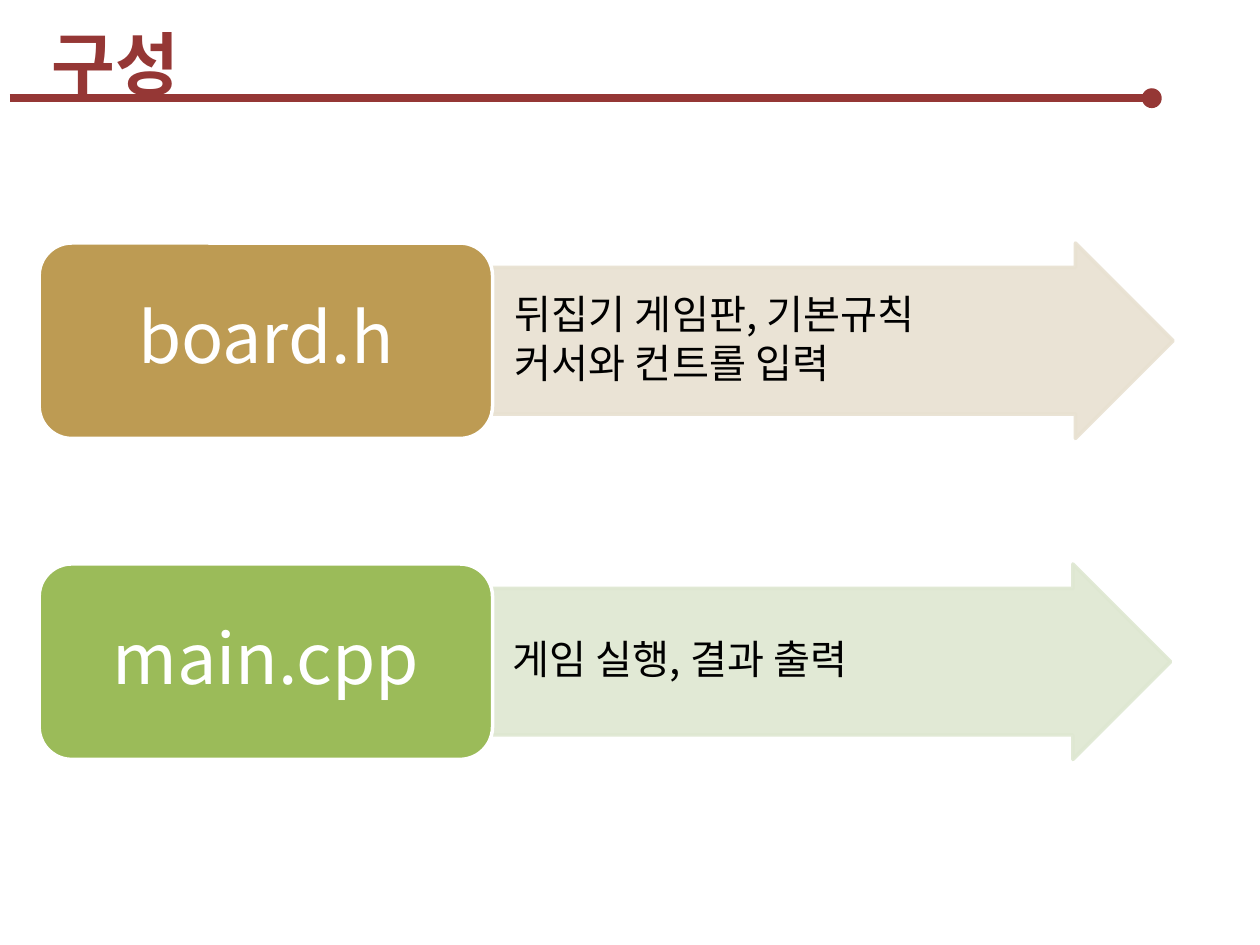
import pptx
import pptx.util
import pptx.dml.color
import pptx.enum.shapes
import pptx.enum.text
import pptx.oxml
import pptx.oxml.ns

Cm, Pt = pptx.util.Cm, pptx.util.Pt
FONT = "Noto Sans CJK KR"
COLORS = {"title": "953735", "gold": "BD9B53", "sand": "E8E1D1",
          "green": "9BBB59", "mint": "DEE7D1", "white": "FFFFFF", "black": "000000"}
SHAPE = pptx.enum.shapes.MSO_SHAPE
ALIGN = pptx.enum.text.PP_ALIGN
NS = pptx.oxml.ns.nsdecls("a")
qn = pptx.oxml.ns.qn


def rgb(name):
    return pptx.dml.color.RGBColor.from_string(COLORS[name])


def write(tf, lines, size, color, align, bold=False, spacing=1.0, after=0,
          margins=(0.25, 0.25)):
    """Fill a text frame, one paragraph per line, centred vertically."""
    tf.word_wrap = True
    tf.vertical_anchor = pptx.enum.text.MSO_ANCHOR.MIDDLE
    tf.margin_left, tf.margin_right = Cm(margins[0]), Cm(margins[1])
    tf.margin_top = tf.margin_bottom = Cm(0.05)
    for i, line in enumerate(lines):
        p = tf.paragraphs[0] if i == 0 else tf.add_paragraph()
        p.text = line
        p.alignment = align
        p.line_spacing = spacing
        p.space_after = Pt(after)
        f = p.font
        f.name, f.size, f.bold = FONT, Pt(size), bold
        f.color.rgb = rgb(color)
        # East Asian typeface for the Korean text
        latin = p._p.pPr.find(qn("a:defRPr")).find(qn("a:latin"))
        latin.addnext(pptx.oxml.parse_xml(f'<a:ea {NS} typeface="{FONT}"/>'))


def add_block(s, kind, x, y, w, h, fill, line=None):
    sp = s.shapes.add_shape(kind, Cm(x), Cm(y), Cm(w), Cm(h))
    sp.shadow.inherit = False
    sp.fill.solid()
    sp.fill.fore_color.rgb = rgb(fill)
    if line:
        sp.line.color.rgb = rgb(line)
        sp.line.width = Pt(2)
    else:
        sp.line.fill.background()
    return sp


def set_opacity(sp, percent):
    for clr in sp._element.spPr.iter(qn("a:srgbClr")):
        clr.append(pptx.oxml.parse_xml(f'<a:alpha {NS} val="{percent * 1000}"/>'))


def add_title(s, text):
    tb = s.shapes.add_textbox(Cm(0.79), Cm(0.36), Cm(19.18), Cm(1.83))
    write(tb.text_frame, [text], 39.6, "title", ALIGN.LEFT, bold=True)

    # Rule with a round end
    cx = s.shapes.add_connector(pptx.enum.shapes.MSO_CONNECTOR.STRAIGHT,
                                Cm(0.2), Cm(1.98), Cm(23.22), Cm(1.98))
    cx.line.color.rgb = rgb("title")
    cx.line.width = Pt(4.5)
    cx._element.spPr.append(pptx.oxml.parse_xml(f'<a:effectLst {NS}/>'))
    add_block(s, SHAPE.OVAL, 23.02, 1.78, 0.4, 0.4, "title")


def add_file_row(s, y, name, lines, box_color, arrow_x, arrow_color):
    """File name in a rounded box, its contents in an arrow."""
    arrow = add_block(s, SHAPE.RIGHT_ARROW, arrow_x, y, 13.72, 3.94,
                      arrow_color, arrow_color)
    arrow.adjustments[0], arrow.adjustments[1] = 0.75, 0.5
    set_opacity(arrow, 90)
    write(arrow.text_frame, lines, 23, "black", ALIGN.LEFT, spacing=0.9,
          after=3.45, margins=(0.45, 0.05))

    box = add_block(s, SHAPE.ROUNDED_RECTANGLE, 0.79, y, 9.14, 3.94,
                    box_color, "white")
    write(box.text_frame, [name], 40, "white", ALIGN.CENTER, spacing=0.9,
          margins=(0.56, 0.56))


def main():
    prs = pptx.Presentation()
    prs.slide_width, prs.slide_height = Cm(25.4), Cm(19.05)
    s = prs.slides.add_slide(prs.slide_layouts[6])

    add_title(s, "구성")

    # Source files
    add_file_row(s, 4.9, "board.h", ["뒤집기 게임판, 기본규칙", "커서와 컨트롤 입력"],
                 "gold", 9.93, "sand")
    add_file_row(s, 11.37, "main.cpp", ["게임 실행, 결과 출력"],
                 "green", 9.88, "mint")

    prs.save("out.pptx")


if __name__ == "__main__":
    main()
